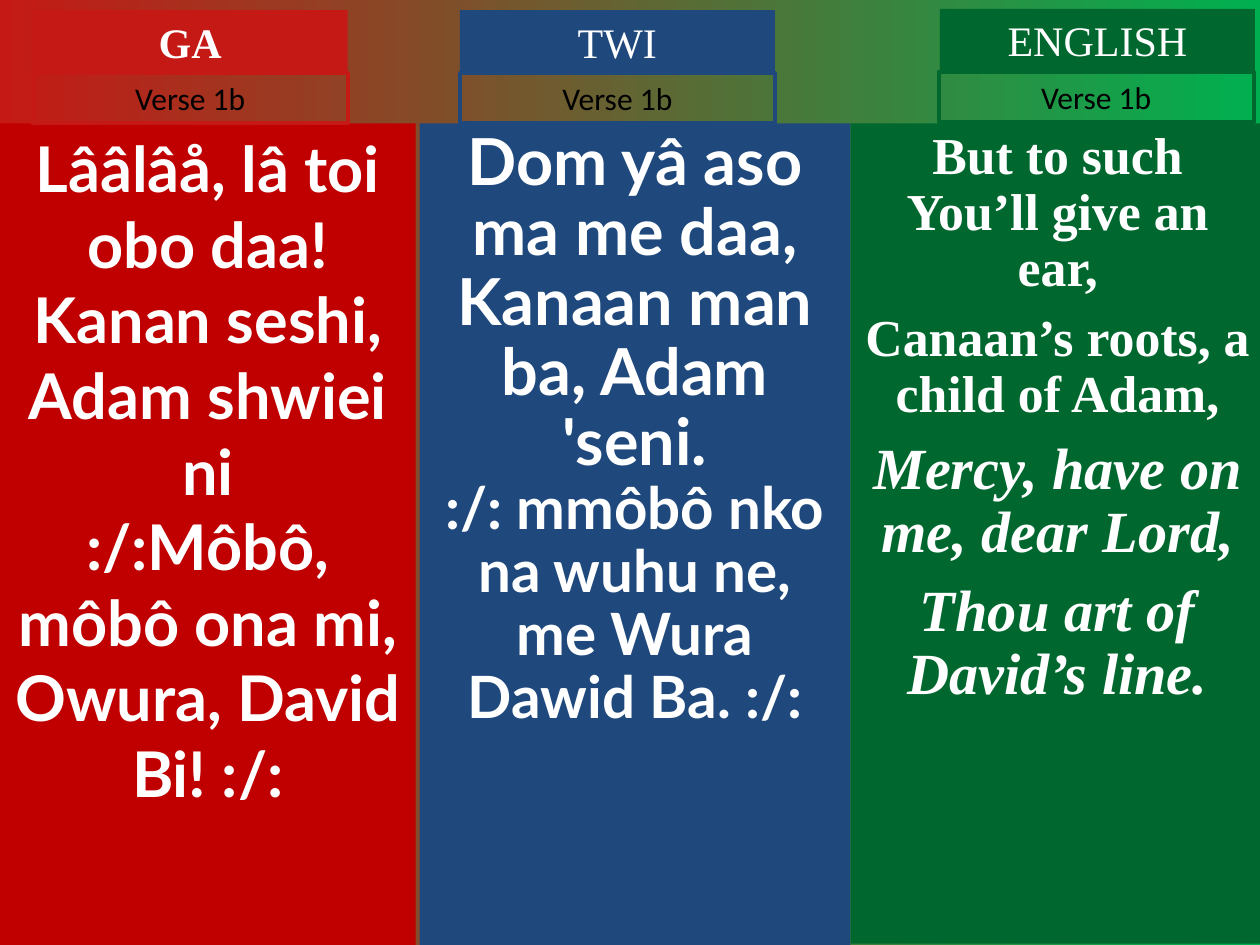
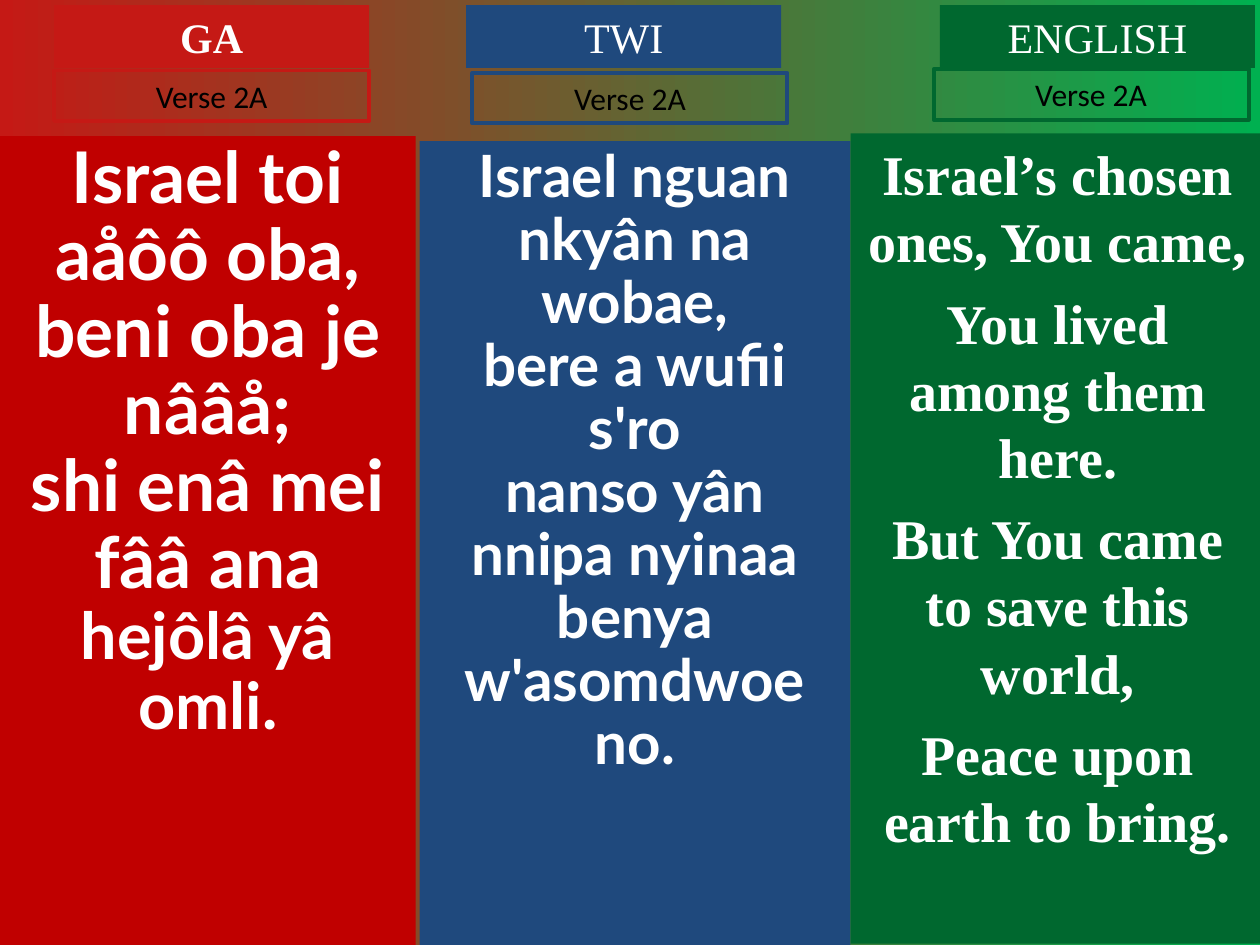
"""Build two hymn slides with the verses side by side in Ga, Twi and English."""
import dataclasses

import pptx
import pptx.dml.color
import pptx.enum.shapes
import pptx.enum.text
import pptx.util


@dataclasses.dataclass(frozen=True)
class Theme:
    """Colours, fonts and type sizes shared by the slides."""
    backdrop: tuple = ("C51915", "00B050")
    white: str = "FFFFFF"
    black: str = "000000"
    heading_font: str = "Times New Roman"
    label_font: str = "Calibri"
    heading_size: float = 24
    label_size: float = 18
    outline: float = 2.25


@dataclasses.dataclass(frozen=True)
class Language:
    """Name, colours, verse font and grid column of one language."""
    name: str
    accent: str
    panel: str
    font: str
    left: float
    width: float
    bottom: float = 75
    bold_heading: bool = False


@dataclasses.dataclass(frozen=True)
class Box:
    """A rectangle measured in grid columns and rows."""
    left: float
    top: float
    width: float
    height: float

    def inside(self, left, top, width, height):
        """Return a box placed relative to this one."""
        return Box(self.left + left, self.top + top, width, height)


@dataclasses.dataclass(frozen=True)
class Layout:
    """Offsets of heading, label and verse inside a language column."""
    heading: tuple
    label: tuple
    verse_top: float


@dataclasses.dataclass(frozen=True)
class Line:
    """One paragraph of a verse."""
    text: str
    size: float
    before: float = 0
    italic: bool = False


THEME = Theme()
COLUMNS, ROWS = 100, 75
SLIDE_WIDTH, SLIDE_HEIGHT = pptx.util.Inches(10), pptx.util.Inches(7.5)
TAG_WIDTH, HEADING_HEIGHT, LABEL_HEIGHT = 25, 5, 4

GA = Language("GA", "C51915", "C00000", "Lato", 0, 33, bold_heading=True)
TWI = Language("TWI", "1F497D", "1F497D", "Lato", 33.3, 34.2)
ENGLISH = Language("ENGLISH", "00682F", "00682F", "Times New Roman", 67.5, 32.9, 74.9)

VERSES = [
    ("Verse 1b", [
        (GA, Layout((2.6, 0.8), (2.6, 5.8), 9.8), 1, [
            Line("Lââlâå, lâ toi obo daa!", 36),
            Line("Kanan seshi, Adam shwiei ni", 36),
            Line(":/:Môbô, môbô ona mi,", 36),
            Line("Owura, David Bi! :/:", 36)]),
        (TWI, Layout((3.2, 0.8), (3.2, 5.8), 9.8), 0.9, [
            Line("Dom yâ aso ma me daa,", 37),
            Line("Kanaan man ba, Adam 'seni.", 37),
            Line(":/: mmôbô nko na wuhu ne,", 33.3),
            Line("me Wura Dawid Ba. :/:", 33.3)]),
        (ENGLISH, Layout((7.1, 0.7), (7, 5.7), 9.8), 0.9, [
            Line("But to such You’ll give an ear,", 29.6),
            Line("Canaan’s roots, a child of Adam,", 29.6, 8),
            Line("Mercy, have on me, dear Lord,", 33.3, 9, True),
            Line("Thou art of David’s line.", 33.3, 9, True)]),
    ]),
    ("Verse 2A", [
        (GA, Layout((4.3, 0.4), (4.3, 5.6), 10.8), 0.9, [
            Line("Israel toi aåôô oba,", 40.7),
            Line("beni oba je nââå;", 40.7),
            Line("shi enâ mei fââ ana", 40.7),
            Line("hejôlâ yâ omli.", 37)]),
        (TWI, Layout((3.7, 0.4), (4.2, 5.8), 11.2), 0.9, [
            Line("Israel nguan nkyân na wobae,", 33.3),
            Line("bere a wufii s'ro", 33.3),
            Line("nanso yân nnipa nyinaa benya w'asomdwoe no.", 33.3)]),
        (ENGLISH, Layout((7.1, 0.4), (6.6, 5.5), 10.6), 1, [
            Line("Israel’s chosen ones, You came,", 32),
            Line("You lived among them here.", 32, 8),
            Line("But You came to save this world,", 32, 8),
            Line("Peace upon earth to bring.", 32, 8)]),
    ]),
]


def colour(code):
    """Turn a hex code into a colour."""
    return pptx.dml.color.RGBColor.from_string(code)


def add_rectangle(slide, box, fill=None, outline=None):
    """Add a plain rectangle that is filled, outlined or both."""
    column, row = SLIDE_WIDTH / COLUMNS, SLIDE_HEIGHT / ROWS
    shape = slide.shapes.add_shape(
        pptx.enum.shapes.MSO_SHAPE.RECTANGLE,
        round(box.left * column), round(box.top * row),
        round(box.width * column), round(box.height * row))
    shape.shadow.inherit = False
    if fill:
        shape.fill.solid()
        shape.fill.fore_color.rgb = colour(fill)
    else:
        shape.fill.background()
    if outline:
        shape.line.color.rgb = colour(outline)
        shape.line.width = pptx.util.Pt(THEME.outline)
    else:
        shape.line.fill.background()
    return shape


def write_lines(shape, lines, font, ink, bold=False, spacing=1):
    """Write centred paragraphs from the top of a shape."""
    frame = shape.text_frame
    frame.word_wrap = True
    frame.vertical_anchor = pptx.enum.text.MSO_ANCHOR.TOP
    frame.text = "\n".join(line.text for line in lines)
    for para, line in zip(frame.paragraphs, lines):
        para.alignment = pptx.enum.text.PP_ALIGN.CENTER
        para.line_spacing = spacing
        para.space_before = pptx.util.Pt(line.before)
        for span in para.runs:
            span.font.name = font
            span.font.size = pptx.util.Pt(line.size)
            span.font.bold = bold
            span.font.italic = line.italic
            span.font.color.rgb = colour(ink)


def add_language_column(slide, box, language, layout, verse_name, spacing, lines):
    """Place the verse panel, heading and verse label of one language."""
    panel = add_rectangle(slide, box.inside(
        0, layout.verse_top, box.width, box.height - layout.verse_top), fill=language.panel)
    write_lines(panel, lines, language.font, THEME.white, True, spacing)
    heading = add_rectangle(
        slide, box.inside(*layout.heading, TAG_WIDTH, HEADING_HEIGHT), fill=language.accent)
    write_lines(heading, [Line(language.name, THEME.heading_size)],
                THEME.heading_font, THEME.white, language.bold_heading)
    label = add_rectangle(
        slide, box.inside(*layout.label, TAG_WIDTH, LABEL_HEIGHT), outline=language.accent)
    write_lines(label, [Line(verse_name, THEME.label_size)], THEME.label_font, THEME.black)


def add_verse_slide(deck, verse_name, columns):
    """Add a slide with one verse in every language."""
    slide = deck.slides.add_slide(deck.slide_layouts[6])
    backdrop = slide.background.fill
    backdrop.gradient()
    backdrop.gradient_angle = 0
    for stop, code in zip(backdrop.gradient_stops, THEME.backdrop):
        stop.color.rgb = colour(code)
    for language, layout, spacing, lines in columns:
        box = Box(language.left, 0, language.width, language.bottom)
        add_language_column(slide, box, language, layout, verse_name, spacing, lines)


def main():
    """Build and save the deck."""
    deck = pptx.Presentation()
    deck.slide_width, deck.slide_height = SLIDE_WIDTH, SLIDE_HEIGHT
    for verse_name, columns in VERSES:
        add_verse_slide(deck, verse_name, columns)
    deck.save("out.pptx")


if __name__ == "__main__":
    main()
